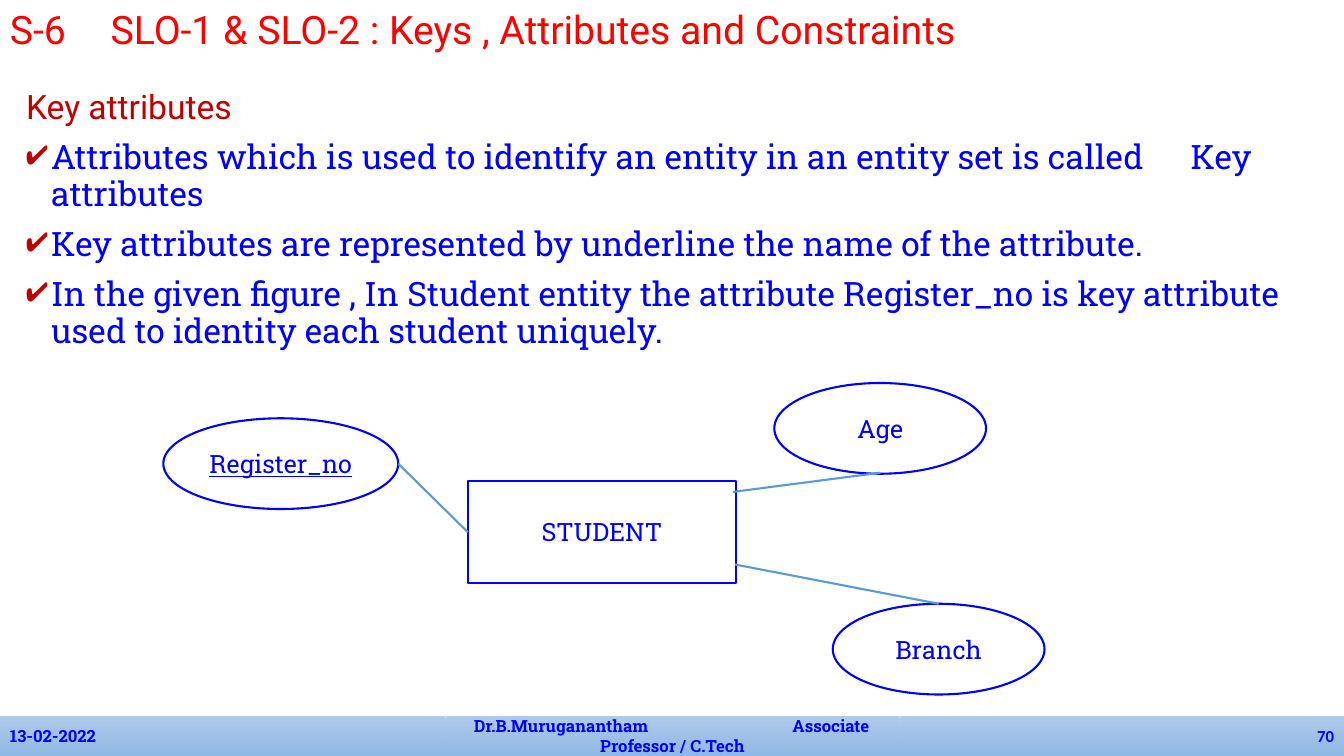
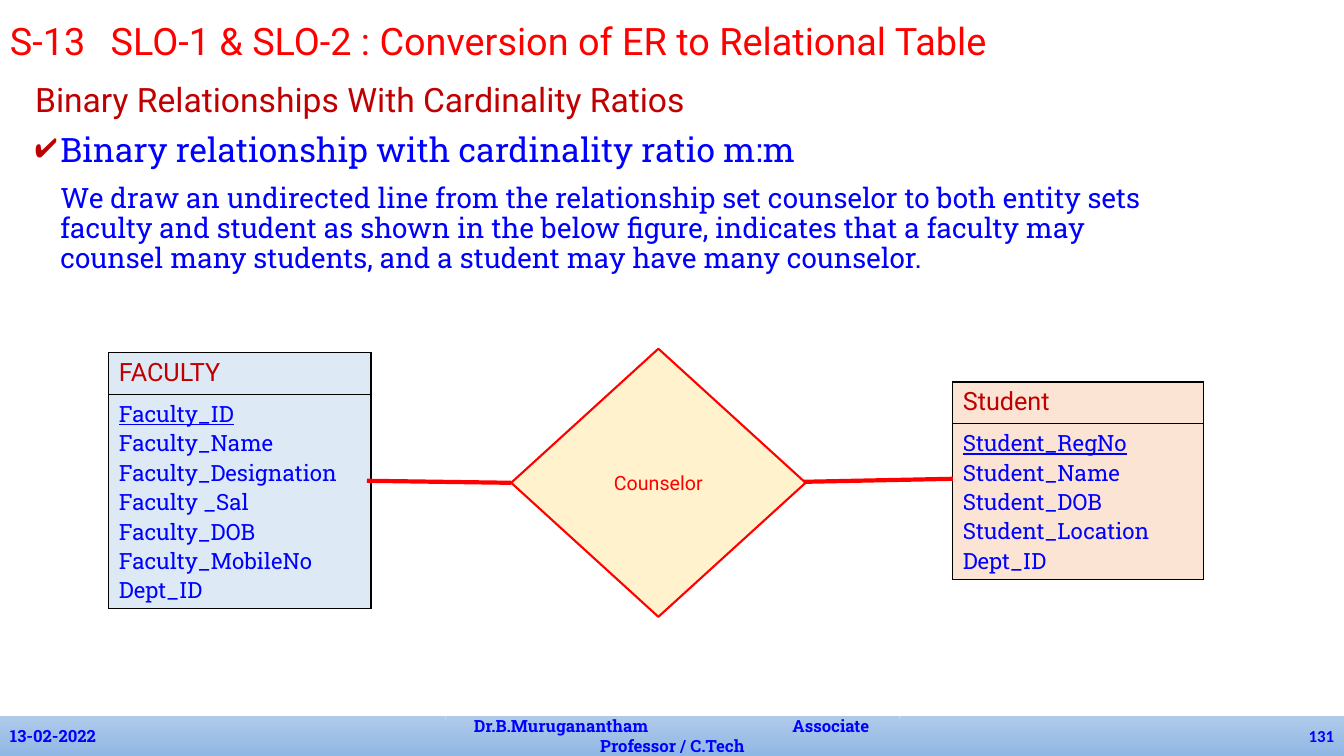
from lxml import etree
from pptx import Presentation
from pptx.dml.color import RGBColor
from pptx.enum.shapes import MSO_CONNECTOR, MSO_SHAPE
from pptx.enum.text import MSO_ANCHOR, PP_ALIGN
from pptx.oxml.ns import qn
from pptx.util import Inches, Pt

RECT, ELLIPSE, DIAMOND = MSO_SHAPE.RECTANGLE, MSO_SHAPE.OVAL, MSO_SHAPE.DIAMOND
LINE = MSO_CONNECTOR.STRAIGHT
LEFT, CENTER, RIGHT = PP_ALIGN.LEFT, PP_ALIGN.CENTER, PP_ALIGN.RIGHT
MIDDLE = MSO_ANCHOR.MIDDLE

BLUE, RED, DARK_RED, BLACK = "0000FF", "FF0000", "C00000", "000000"
LINK_BLUE, CREAM, PALE_BLUE, PALE_ORANGE = "5B9BD5", "FFF2CC", "DDEAF6", "FBE4D4"
BAND_COLORS = ("B0CAE9", "90B8E4")
SANS, SLAB = "Roboto", "Roboto Slab"

TITLE = dict(name=SANS, size=Pt(28), color=RED)
HEADING = dict(name=SANS, size=Pt(24), color=DARK_RED)
BODY = dict(name=SLAB, size=Pt(24), color=BLUE)
DETAIL = dict(BODY, size=Pt(20))
NODE = dict(BODY, size=Pt(18))
KEY_NODE = dict(NODE, underline=True)
RELATION = dict(name=SANS, size=Pt(14), color=RED)
TABLE_HEAD = dict(HEADING, size=Pt(18))
FIELD = dict(BODY, size=Pt(16))
KEY_FIELD = dict(FIELD, underline=True)
FOOTER = dict(BODY, size=Pt(12), bold=True)
PAGE = dict(FOOTER, name="Calibri")


def rgb(value):
    return RGBColor.from_string(value)


def child(parent, tag, **attrs):
    return etree.SubElement(parent, qn(tag), attrs)


def write(p, text, fmt, align=None):
    p.alignment = align
    r = p.add_run()
    r.text = text
    for key, value in fmt.items():
        if key == "color":
            r.font.color.rgb = rgb(value)
        else:
            setattr(r.font, key, value)


def next_paragraph(tf, index):
    return tf.add_paragraph() if index else tf.paragraphs[0]


def add_tabs(p, stops):
    tabs = child(p._p.get_or_add_pPr(), "a:tabLst")
    for stop in stops:
        child(tabs, "a:tab", pos=str(Inches(stop)), algn="l")


def add_text(s, x, y, w, h):
    tf = s.shapes.add_textbox(Inches(x), Inches(y), Inches(w), Inches(h)).text_frame
    tf.word_wrap = True
    return tf


def add_title(s, text, y, size):
    tf = add_text(s, 0, y, 12, 0.57)
    write(tf.paragraphs[0], text, dict(TITLE, size=Pt(size)))


def add_body(s, x, y, w, items):
    tf = add_text(s, x, y, w, 2.8)
    for i, (text, fmt, bullet, stops) in enumerate(items):
        p = next_paragraph(tf, i)
        p.line_spacing = 0.9
        if i:
            p.space_before = Pt(10)
            pPr = p._p.get_or_add_pPr()
            pPr.set("marL", str(Inches(0.25)))
            pPr.set("indent", str(Inches(-0.25 if bullet else 0)))
        if bullet:
            child(child(pPr, "a:buClr"), "a:srgbClr", val=DARK_RED)
            child(pPr, "a:buChar", char="✔")
        if stops:
            add_tabs(p, stops)
        write(p, text, fmt)


def add_box(s, kind, x, y, w, h, text="", fmt=None, fill=None, line=None, align=CENTER):
    sp = s.shapes.add_shape(kind, Inches(x), Inches(y), Inches(w), Inches(h))
    sp.shadow.inherit = False
    if fill:
        sp.fill.solid()
        sp.fill.fore_color.rgb = rgb(fill)
    else:
        sp.fill.background()
    if line:
        sp.line.color.rgb = rgb(line)
        sp.line.width = Pt(1.5)
    else:
        sp.line.fill.background()
    tf = sp.text_frame
    tf.word_wrap = True
    tf.vertical_anchor = MIDDLE
    if text:
        write(tf.paragraphs[0], text, fmt, align)
    return sp


def add_line(s, start, end, color, width):
    cx = s.shapes.add_connector(LINE, *(Inches(v) for v in start + end))
    cx.line.color.rgb = rgb(color)
    cx.line.width = Pt(width)
    child(cx._element.spPr, "a:effectLst")


def add_entity_table(s, x, y, w, name, fields, fill):
    heights = (0.41, 0.29 * len(fields) + 0.1)
    table = s.shapes.add_table(2, 1, Inches(x), Inches(y), Inches(w),
                               Inches(sum(heights))).table
    table.horz_banding = False
    head, body = table.cell(0, 0), table.cell(1, 0)
    for row, height, cell in zip(table.rows, heights, (head, body)):
        row.height = Inches(height)
        tcPr = cell._tc.get_or_add_tcPr()
        for side in ("a:lnL", "a:lnR", "a:lnT", "a:lnB"):
            ln = child(tcPr, side, w=str(Pt(1)))
            child(child(ln, "a:solidFill"), "a:srgbClr", val=BLACK)
        cell.fill.solid()
        cell.fill.fore_color.rgb = rgb(fill)
    write(head.text_frame.paragraphs[0], name, TABLE_HEAD)
    for i, field in enumerate(fields):
        write(next_paragraph(body.text_frame, i), field, FIELD if i else KEY_FIELD)


def add_footer(s, page):
    date, author, number = [
        add_box(s, RECT, x, 7.1, w, 0.4)
        for x, w in ((0, 4.42), (4.42, 4.5), (8.92, 4.41))]
    for sp in (date, author, number):
        sp.fill.gradient()
        sp.fill.gradient_angle = 270
        for stop, color in zip(sp.fill.gradient_stops, BAND_COLORS):
            stop.color.rgb = rgb(color)
    write(date.text_frame.paragraphs[0], "13-02-2022", FOOTER, LEFT)
    write(number.text_frame.paragraphs[0], str(page), PAGE, RIGHT)
    tf = author.text_frame
    tf.margin_left = tf.margin_right = Inches(0.28)
    p = tf.paragraphs[0]
    add_tabs(p, [3.16])
    write(p, "Dr.B.Muruganantham\tAssociate", FOOTER, LEFT)
    write(tf.add_paragraph(), "Professor / C.Tech", FOOTER, CENTER)


def add_slide(prs, title, y, size, page):
    s = prs.slides.add_slide(prs.slide_layouts[6])
    add_footer(s, page)
    add_title(s, title, y, size)
    return s


def build_key_attributes(prs):
    s = add_slide(prs, "S-6\tSLO-1 & SLO-2 : Keys , Attributes and Constraints", 0, 28, 70)
    add_body(s, 0.16, 0.85, 12.77, [
        ("Key attributes", HEADING, False, None),
        ("Attributes which is used to identify an entity in an entity set is called"
         "\tKey attributes", BODY, True, [0.5, 11.55]),
        ("Key attributes are represented by underline the name of the attribute.",
         BODY, True, None),
        ("In the given figure , In Student entity the attribute Register_no is key "
         "attribute used to identity each student uniquely.", BODY, True, None),
    ])
    for kind, x, y, w, h, text, fmt in (
            (RECT, 4.64, 4.77, 2.66, 1.01, "STUDENT", NODE),
            (ELLIPSE, 1.62, 4.15, 2.33, 0.9, "Register_no", KEY_NODE),
            (ELLIPSE, 7.68, 3.8, 2.1, 0.9, "Age", NODE),
            (ELLIPSE, 8.26, 5.99, 2.1, 0.9, "Branch", NODE)):
        add_box(s, kind, x, y, w, h, text, fmt, line=BLUE)
    for start, end in (((3.95, 4.6), (4.64, 5.28)),
                       ((8.73, 4.69), (7.27, 4.88)),
                       ((9.31, 5.99), (7.29, 5.6))):
        add_line(s, start, end, LINK_BLUE, 1.5)


def build_er_conversion(prs):
    s = add_slide(prs, "S-13\tSLO-1 & SLO-2 : Conversion of ER to Relational Table",
                  0.13, 27, 131)
    add_body(s, 0.25, 0.78, 11.5, [
        ("Binary Relationships With Cardinality Ratios", HEADING, False, None),
        ("Binary relationship with cardinality ratio m:m", BODY, True, None),
        ("We draw an undirected line from the relationship set counselor to both entity "
         "sets faculty and student as shown in the below figure, indicates that a faculty "
         "may counsel many students, and a student may have many counselor.",
         DETAIL, False, None),
    ])
    add_entity_table(s, 1.08, 3.5, 2.6, "FACULTY", (
        "Faculty_ID", "Faculty_Name", "Faculty_Designation", "Faculty _Sal",
        "Faculty_DOB", "Faculty_MobileNo", "Dept_ID"), PALE_BLUE)
    add_entity_table(s, 9.45, 3.79, 2.49, "Student", (
        "Student_RegNo", "Student_Name", "Student_DOB", "Student_Location",
        "Dept_ID"), PALE_ORANGE)
    add_box(s, DIAMOND, 5.07, 3.46, 2.92, 2.66, "Counselor", RELATION, CREAM, RED)
    add_line(s, (5.07, 4.79), (3.64, 4.77), RED, 3)
    add_line(s, (7.97, 4.78), (9.45, 4.75), RED, 3)


def main():
    prs = Presentation()
    prs.slide_width, prs.slide_height = Inches(13.33), Inches(7.5)
    build_key_attributes(prs)
    build_er_conversion(prs)
    prs.save("out.pptx")


if __name__ == "__main__":
    main()
